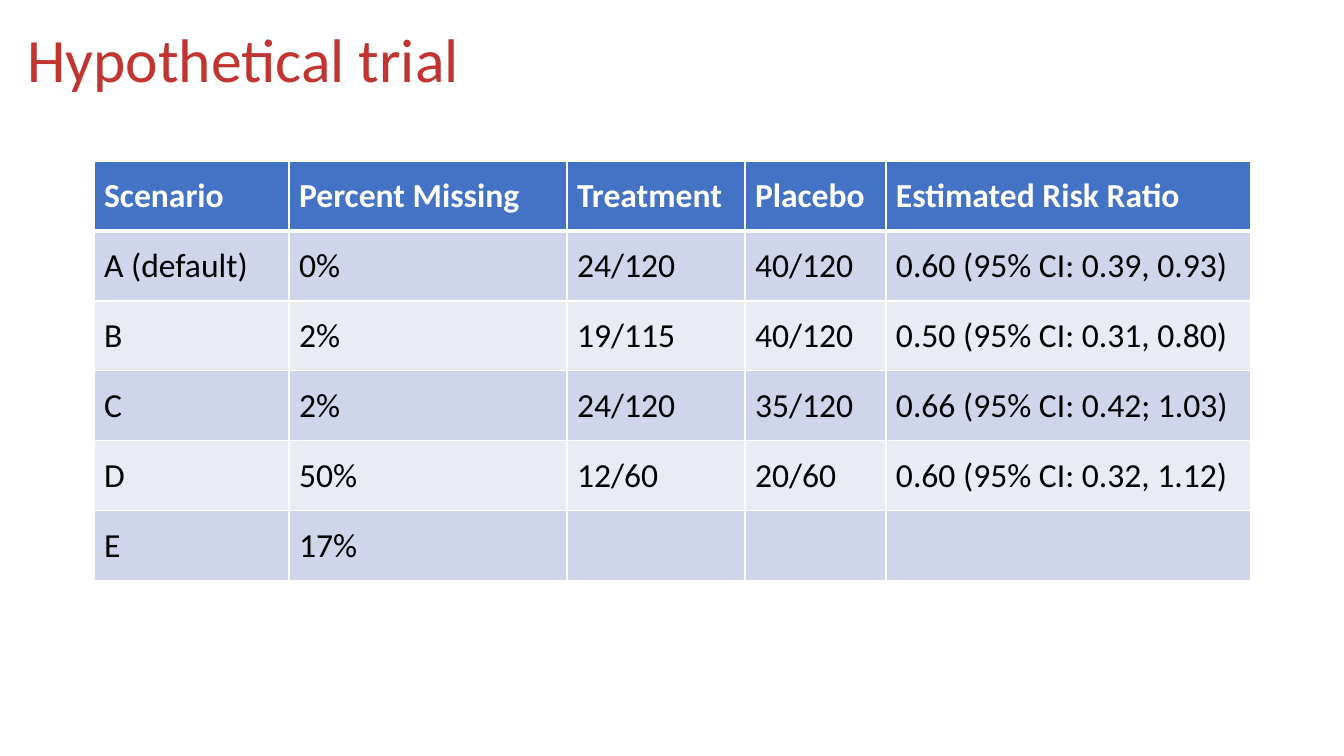
import dataclasses

import lxml.etree
import pptx
import pptx.dml.color
import pptx.enum.text
import pptx.oxml.ns
import pptx.util


@dataclasses.dataclass(frozen=True)
class Theme:
    font: str = "Calibri"
    title: str = "C2342F"
    header: str = "4472C4"
    bands: tuple = ("CFD5EA", "E9EBF5")
    white: str = "FFFFFF"
    black: str = "000000"
    title_size: int = 44
    table_size: int = 24
    rule: int = 1
    header_rule: int = 3


THEME = Theme()
EMU_PER_PX = 12192000 / 1344


def px(length):
    return pptx.util.Emu(round(length * EMU_PER_PX))


def add_span(para, text, size, color, bold=False):
    span = para.add_run()
    span.text = text
    span.font.name = THEME.font
    span.font.size = pptx.util.Pt(size)
    span.font.bold = bold
    span.font.color.rgb = pptx.dml.color.RGBColor.from_string(color)


deck = pptx.Presentation()
deck.slide_width, deck.slide_height = px(1344), px(756)
page = deck.slides.add_slide(deck.slide_layouts[5])

# Title
title = page.shapes.title
title.left, title.top, title.width, title.height = px(17), px(16), px(1310), px(93)
title.text_frame.auto_size = pptx.enum.text.MSO_AUTO_SIZE.NONE
title.text_frame.vertical_anchor = pptx.enum.text.MSO_ANCHOR.MIDDLE
heading = title.text_frame.paragraphs[0]
heading.alignment = pptx.enum.text.PP_ALIGN.LEFT
heading.line_spacing = 0.9
add_span(heading, "Hypothetical trial", THEME.title_size, THEME.title)

# Trial scenarios
scenarios = [
    ("Scenario", "Percent Missing", "Treatment", "Placebo", "Estimated Risk Ratio"),
    ("A (default)", "0%", "24/120", "40/120", "0.60 (95% CI: 0.39, 0.93)"),
    ("B", "2%", "19/115", "40/120", "0.50 (95% CI: 0.31, 0.80)"),
    ("C", "2%", "24/120", "35/120", "0.66 (95% CI: 0.42; 1.03)"),
    ("D", "50%", "12/60", "20/60", "0.60 (95% CI: 0.32, 1.12)"),
    ("E", "17%", "", "", ""),
]
column_widths = [195, 278, 178, 141, 365]
row_height = 70

table = page.shapes.add_table(
    len(scenarios), len(column_widths), px(94), px(161),
    px(sum(column_widths)), px(row_height * len(scenarios))).table
for column, width in zip(table.columns, column_widths):
    column.width = px(width)

for row_index, values in enumerate(scenarios):
    table.rows[row_index].height = px(row_height)
    is_header = row_index == 0
    fill = THEME.header if is_header else THEME.bands[(row_index - 1) % 2]
    color = THEME.white if is_header else THEME.black
    rules = {
        "L": THEME.rule,
        "R": THEME.rule,
        "T": THEME.header_rule if row_index == 1 else THEME.rule,
        "B": THEME.header_rule if is_header else THEME.rule,
    }
    for column_index, value in enumerate(values):
        cell = table.cell(row_index, column_index)
        cell.vertical_anchor = pptx.enum.text.MSO_ANCHOR.MIDDLE
        properties = cell._tc.get_or_add_tcPr()
        for side, weight in rules.items():
            line = lxml.etree.SubElement(
                properties, pptx.oxml.ns.qn(f"a:ln{side}"), w=str(pptx.util.Pt(weight)))
            solid = lxml.etree.SubElement(line, pptx.oxml.ns.qn("a:solidFill"))
            lxml.etree.SubElement(solid, pptx.oxml.ns.qn("a:srgbClr"), val=THEME.white)
        cell.fill.solid()
        cell.fill.fore_color.rgb = pptx.dml.color.RGBColor.from_string(fill)
        if value:
            add_span(cell.text_frame.paragraphs[0], value, THEME.table_size, color, is_header)

deck.save("out.pptx")
